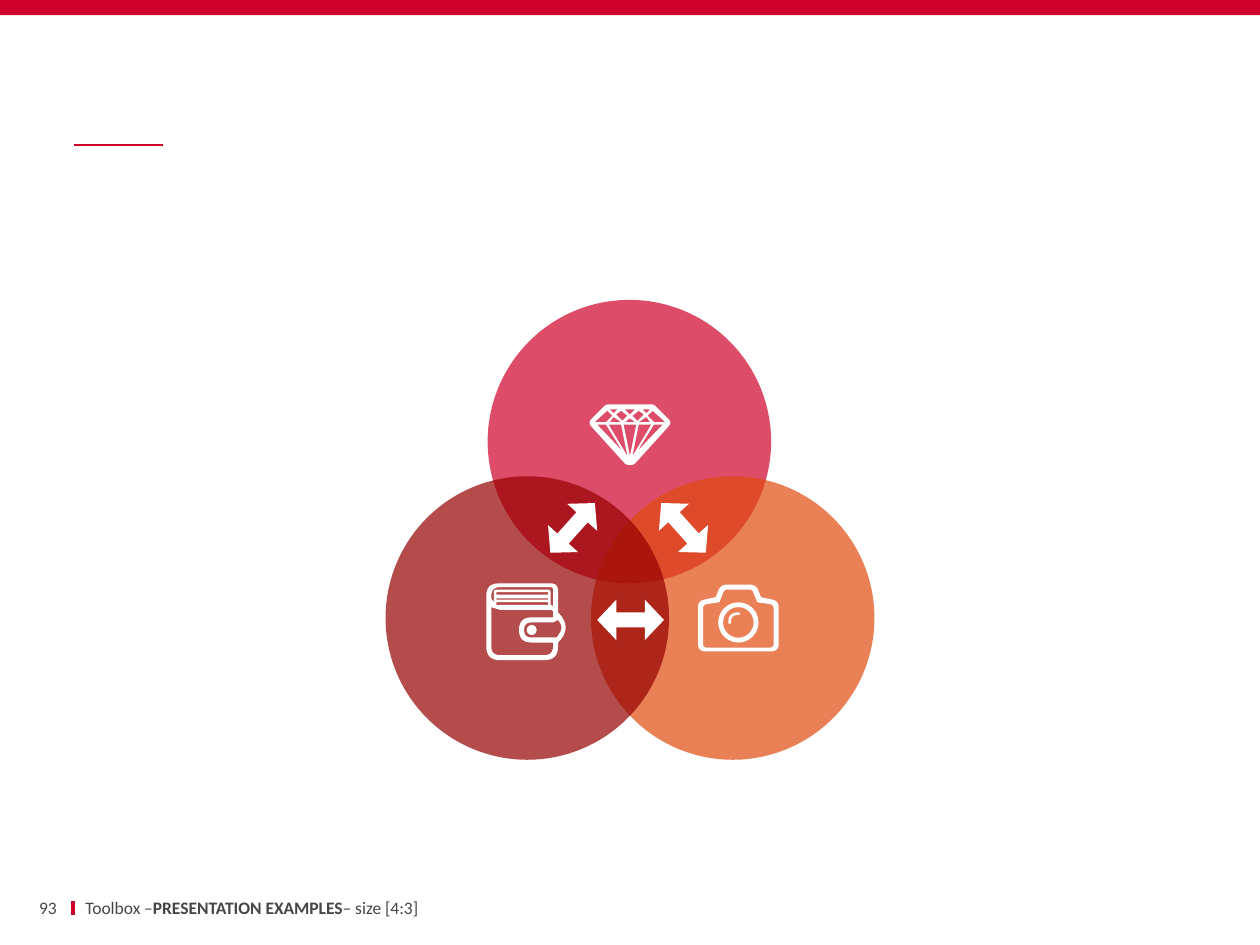
from pptx import Presentation
from pptx.dml.color import RGBColor
from pptx.enum import shapes as kinds, text as txt
from pptx.oxml import parse_xml
from pptx.oxml.ns import nsdecls
from pptx.util import Inches, Pt

RED, WHITE, GREY = "CF022B", "FFFFFF", "464646"
SHAPE = kinds.MSO_SHAPE

# Content: diagram (left, top, colour) and arrows (left, top, rotation)
CIRCLE_SIZE, CIRCLE_ALPHA = 2.25, 70
CIRCLES = [(3.87, 2.38, RED), (4.69, 3.78, "E14B0F"), (3.06, 3.78, "960000")]
ARROWS = [(4.28, 4.03, 311.9), (5.16, 4.03, 48.1), (4.74, 4.76, 0)]
RULES = [((0.58, 7.15), (0.58, 7.26), 2.25), ((0.59, 1.15), (1.29, 1.15), 1)]

# Footer: box, alignment, side inset, runs (text, bold)
FOOTER = [
    ((0.13, 7.11, 0.32, 0.18), txt.PP_ALIGN.RIGHT, 0, [("93", False)]),
    ((0.58, 7.11, 4.97, 0.18), txt.PP_ALIGN.LEFT, 0.1,
     [("Toolbox –", False), ("PRESENTATION EXAMPLES", True), ("– size [4:3]", False)]),
]

# Icon corners are (x, y) or (x, y, rounding)
DIAMOND_AXIS = 5
DIAMOND_HALF_OUTLINE = [(4.97, 3.69, 0.02), (4.68, 3.37, 0.02), (4.68, 3.34, 0.02),
                        (4.81, 3.21, 0.02)]
DIAMOND_MIDDLE = [
    [(4.96, 3.25), (5.04, 3.25), (5, 3.29)],
    [(4.96, 3.35), (5.04, 3.35), (5, 3.32)],
    [(4.95, 3.37), (5.05, 3.37), (5, 3.62)],
]
DIAMOND_LEFT = [
    [(4.98, 3.3), (4.94, 3.34), (4.89, 3.29), (4.93, 3.26)],
    [(4.93, 3.35), (4.84, 3.35), (4.87, 3.31)],
    [(4.9, 3.25), (4.87, 3.28), (4.84, 3.25)],
    [(4.82, 3.26), (4.86, 3.3), (4.81, 3.35), (4.72, 3.35)],
    [(4.74, 3.37), (4.81, 3.37), (4.94, 3.58)],
    [(4.83, 3.37), (4.93, 3.37), (4.98, 3.62)],
]
WALLET = [
    # Outline, cover, body, clasp
    [(3.86, 4.63, 0.1), (4.43, 4.63, 0.06), (4.43, 4.86), (4.55, 4.98, 0.17),
     (4.43, 5.1), (4.43, 5.24, 0.11), (3.86, 5.24, 0.11)],
    [(3.9, 4.66, 0.07), (4.39, 4.66, 0.02), (4.39, 4.81), (4.37, 4.8),
     (4.37, 4.68, 0.02), (3.92, 4.68, 0.02), (3.92, 4.78), (3.9, 4.75)],
    [(3.9, 4.82), (3.97, 4.84), (4.39, 4.84, 0.02), (4.39, 4.9), (4.12, 4.9, 0.1),
     (4.12, 5.1, 0.1), (4.39, 5.1), (4.39, 5.2, 0.07), (3.9, 5.2, 0.07)],
    [(4.16, 4.94, 0.06), (4.39, 4.94), (4.43, 4.92), (4.47, 4.98, 0.05),
     (4.42, 5.06), (4.16, 5.06, 0.06)],
]
WALLET_PAGES = [(4.7, 4.72), (4.75, 4.76), (4.78, 4.8)]
CAMERA_AXIS = 5.86
CAMERA_HALVES = [
    [(5.54, 5.17, 0.06), (5.54, 4.77, 0.05), (5.68, 4.74), (5.72, 4.64, 0.05)],
    [(5.58, 5.14, 0.03), (5.58, 4.8, 0.03), (5.71, 4.78), (5.75, 4.68, 0.02)],
]
LENS_GLINT = [(5.78, 4.95), (5.78, 4.86, 0.08), (5.87, 4.86), (5.87, 4.88),
              (5.8, 4.88, 0.06), (5.8, 4.95)]

prs = Presentation()
prs.slide_width, prs.slide_height = Inches(10), Inches(7.5)
slide = prs.slides.add_slide(prs.slide_layouts[6])


def paint(part, colour, alpha=None):
    part.shadow.inherit = False
    part.fill.solid()
    part.fill.fore_color.rgb = RGBColor.from_string(colour)
    part.line.fill.background()
    if alpha:
        colour_xml = part.fill._xPr.find(".//{*}srgbClr")
        colour_xml.append(parse_xml(f'<a:alpha {nsdecls("a")} val="{alpha * 1000}"/>'))


def add_preset(kind, box, colour, alpha=None):
    part = slide.shapes.add_shape(kind, *map(Inches, box))
    paint(part, colour, alpha)
    return part


def mirror(corners, axis):
    return [(2 * axis - x, y, *rounding) for x, y, *rounding in reversed(corners)]


def round_corners(corners, steps=8):
    """Replace each rounded corner with points along a quadratic curve."""
    points = []
    for i, (x, y, *rounding) in enumerate(corners):
        if not rounding:
            points.append((x, y))
            continue
        ends = []
        for nx, ny, *_ in (corners[i - 1], corners[(i + 1) % len(corners)]):
            length = ((nx - x) ** 2 + (ny - y) ** 2) ** 0.5
            share = min(1, rounding[0] / length)
            ends.append((x + (nx - x) * share, y + (ny - y) * share))
        (ax, ay), (bx, by) = ends
        for t in (step / steps for step in range(steps + 1)):
            a, c, b = (1 - t) ** 2, 2 * t * (1 - t), t * t
            points.append((a * ax + c * x + b * bx, a * ay + c * y + b * by))
    return points


def add_icon(contours):
    units = 10000
    builder = None
    for corners in contours:
        points = [(x * units, y * units) for x, y in round_corners(corners)]
        if builder is None:
            builder = slide.shapes.build_freeform(*points[0], scale=Inches(1) / units)
        else:
            builder.move_to(*points[0])
        builder.add_line_segments(points[1:], close=True)
    paint(builder.convert_to_shape(), WHITE)


# Red accents
for start, end, width in RULES:
    rule = slide.shapes.add_connector(kinds.MSO_CONNECTOR.STRAIGHT,
                                      *map(Inches, start + end))
    rule.line.color.rgb = RGBColor.from_string(RED)
    rule.line.width = Pt(width)
    rule._element.spPr.append(parse_xml(f'<a:effectLst {nsdecls("a")}/>'))
add_preset(SHAPE.RECTANGLE, (0, 0, 10, 0.12), RED)

# Overlapping circles and the arrows between them
for left, top, colour in CIRCLES:
    add_preset(SHAPE.OVAL, (left, top, CIRCLE_SIZE, CIRCLE_SIZE), colour, CIRCLE_ALPHA)
for left, top, rotation in ARROWS:
    arrow = add_preset(SHAPE.LEFT_RIGHT_ARROW, (left, top, 0.53, 0.32), WHITE)
    arrow.rotation = rotation
    arrow.adjustments[0], arrow.adjustments[1] = 0.377, 0.473

# Diamond
add_icon([DIAMOND_HALF_OUTLINE + mirror(DIAMOND_HALF_OUTLINE, DIAMOND_AXIS)]
         + DIAMOND_MIDDLE + DIAMOND_LEFT
         + [mirror(facet, DIAMOND_AXIS) for facet in DIAMOND_LEFT])

# Wallet
add_icon(WALLET + [[(3.94, top), (4.35, top), (4.35, bottom), (3.94, bottom)]
                   for top, bottom in WALLET_PAGES])
add_preset(SHAPE.OVAL, (4.18, 4.96, 0.08, 0.08), WHITE)

# Camera
lens = add_preset(SHAPE.DONUT, (5.7, 4.78, 0.32, 0.32), WHITE)
lens.adjustments[0] = 0.12
add_icon([half + mirror(half, CAMERA_AXIS) for half in CAMERA_HALVES])
add_icon([LENS_GLINT])

# Footer
for box, align, inset, runs in FOOTER:
    frame = slide.shapes.add_textbox(*map(Inches, box)).text_frame
    frame.word_wrap = True
    frame.vertical_anchor = txt.MSO_ANCHOR.MIDDLE
    frame.margin_left = frame.margin_right = Inches(inset)
    frame.paragraphs[0].alignment = align
    for words, bold in runs:
        run = frame.paragraphs[0].add_run()
        run.text = words
        run.font.name, run.font.size, run.font.bold = "Calibri", Pt(10), bold
        run.font.color.rgb = RGBColor.from_string(GREY)

prs.save("out.pptx")
